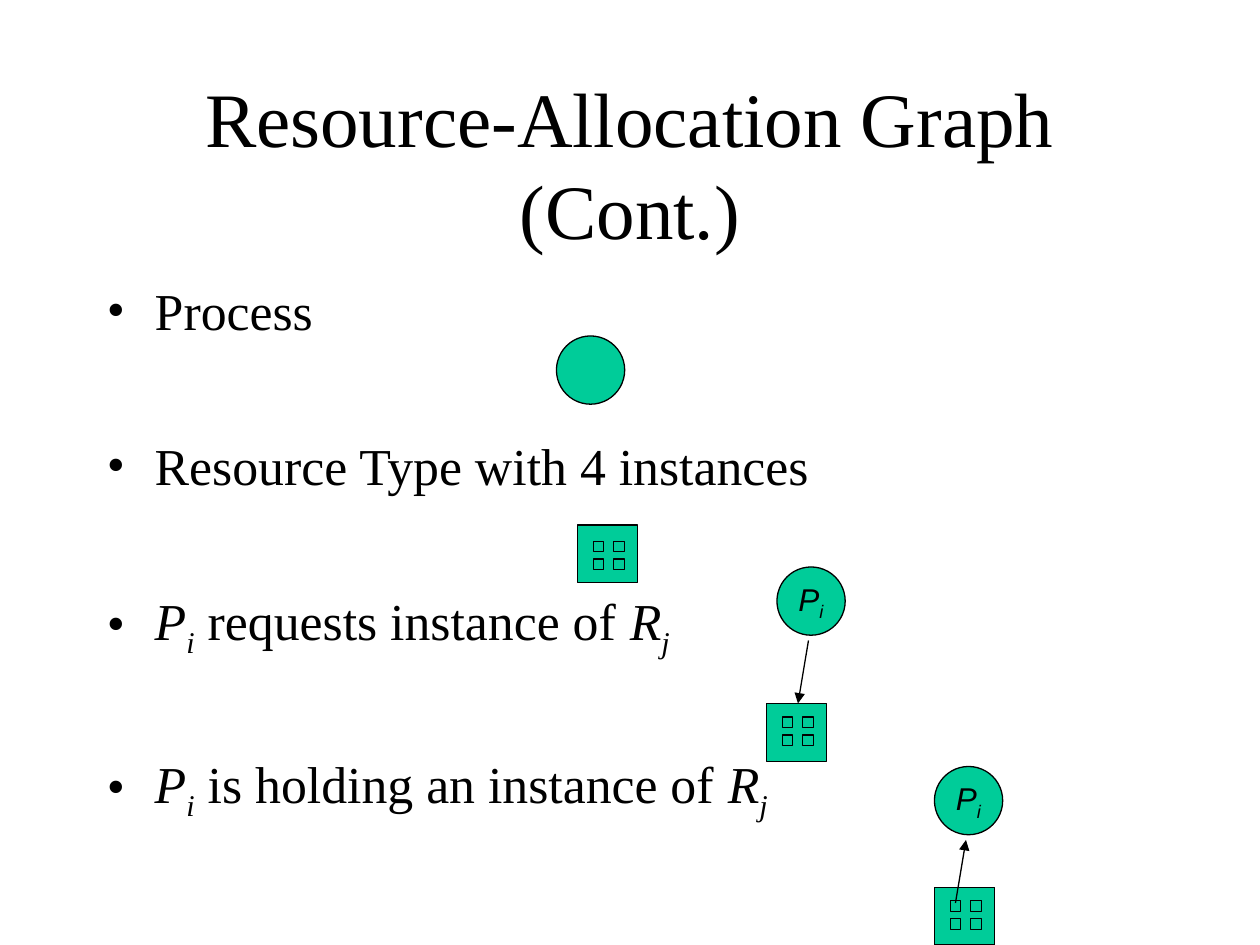
from itertools import product

from lxml.etree import SubElement
from pptx import Presentation
from pptx.dml.color import RGBColor
from pptx.enum.shapes import MSO_CONNECTOR, MSO_SHAPE
from pptx.enum.text import MSO_ANCHOR, PP_ALIGN
from pptx.oxml.ns import qn
from pptx.util import Inches, Pt

BLACK = RGBColor(0x00, 0x00, 0x00)
GREEN = RGBColor(0x00, 0xCC, 0x99)
SERIF = "Times New Roman"
SANS = "Arial"
CELLS_PER_INCH = 12
CIRCLE_SIZE = 6.5
BOX_WIDTH, BOX_HEIGHT = 5.75, 5.5
DOT_SIZE = 1
DOT_LEFT, DOT_COLUMN_GAP, DOT_ROW_GAP = 1.5, 1.95, 1.7
BODY_SIZE = 29.6
BULLET_INDENT = 0.38

PROCESS = [("P", "italic"), ("i", "subscript")]
RESOURCE = [("R", "italic"), ("j", "subscript")]
BULLETS = [
    [("Process", "plain")],
    [("Resource Type with 4 instances", "plain")],
    PROCESS + [(" requests instance of ", "plain")] + RESOURCE,
    PROCESS + [(" is holding an instance of ", "plain")] + RESOURCE,
]


def grid(*cells):
    return [Inches(cell / CELLS_PER_INCH) for cell in cells]


def add_runs(paragraph, pieces, font_name, size):
    for text, style in pieces:
        run = paragraph.add_run()
        run.text = text
        run.font.name = font_name
        run.font.size = Pt(size)
        run.font.color.rgb = BLACK
        run.font.italic = style != "plain"
        if style == "subscript":
            run.font._element.set("baseline", "-25000")


def add_text_frame(slide, left, top, width, height):
    text_frame = slide.shapes.add_textbox(*grid(left, top, width, height)).text_frame
    text_frame.word_wrap = True
    return text_frame


def add_title(slide, text):
    text_frame = add_text_frame(slide, 9, 8, 102, 15)
    text_frame.vertical_anchor = MSO_ANCHOR.MIDDLE
    paragraph = text_frame.paragraphs[0]
    paragraph.alignment = PP_ALIGN.CENTER
    add_runs(paragraph, [(text, "plain")], SERIF, 44)


def add_bullets(slide, bullets):
    text_frame = add_text_frame(slide, 9, 26, 102, 54)
    for index, pieces in enumerate(bullets):
        paragraph = text_frame.add_paragraph() if index else text_frame.paragraphs[0]
        paragraph.space_before = Pt(52.8 if index else 3)
        properties = paragraph._p.get_or_add_pPr()
        properties.set("marL", str(Inches(BULLET_INDENT)))
        properties.set("indent", str(-Inches(BULLET_INDENT)))
        SubElement(properties, qn("a:buFont"), typeface=SERIF)
        SubElement(properties, qn("a:buChar"), char="•")
        add_runs(paragraph, pieces, SERIF, BODY_SIZE)


def add_outlined(shapes, kind, left, top, width, height):
    shape = shapes.add_shape(kind, *grid(left, top, width, height))
    shape.shadow.inherit = False
    shape.fill.solid()
    shape.fill.fore_color.rgb = GREEN
    shape.line.color.rgb = BLACK
    shape.line.width = Pt(0.75)
    return shape


def add_process(slide, left, top, label=()):
    circle = add_outlined(slide.shapes, MSO_SHAPE.OVAL, left, top, CIRCLE_SIZE, CIRCLE_SIZE)
    text_frame = circle.text_frame
    text_frame.word_wrap = False
    text_frame.vertical_anchor = MSO_ANCHOR.MIDDLE
    paragraph = text_frame.paragraphs[0]
    paragraph.alignment = PP_ALIGN.CENTER
    add_runs(paragraph, label, SANS, 18)


def add_resource(slide, left, top, dot_top=1.3):
    shapes = slide.shapes.add_group_shape().shapes
    add_outlined(shapes, MSO_SHAPE.RECTANGLE, left, top, BOX_WIDTH, BOX_HEIGHT)
    for row, column in product(range(2), repeat=2):
        add_outlined(
            shapes,
            MSO_SHAPE.RECTANGLE,
            left + DOT_LEFT + column * DOT_COLUMN_GAP,
            top + dot_top + row * DOT_ROW_GAP,
            DOT_SIZE,
            DOT_SIZE,
        )


def add_arrow(slide, start, end):
    connector = slide.shapes.add_connector(MSO_CONNECTOR.STRAIGHT, *grid(*start, *end))
    connector.line.color.rgb = BLACK
    connector.line.width = Pt(0.75)
    SubElement(connector.line._get_or_add_ln(), qn("a:tailEnd"), type="triangle")
    SubElement(connector._element.spPr, qn("a:effectLst"))


def main():
    presentation = Presentation()
    presentation.slide_width = Inches(10)
    presentation.slide_height = Inches(7.5)
    slide = presentation.slides.add_slide(presentation.slide_layouts[6])

    add_title(slide, "Resource-Allocation Graph (Cont.)")
    add_bullets(slide, BULLETS)
    add_process(slide, 53, 32)
    add_resource(slide, 55, 50, dot_top=1.55)
    add_process(slide, 74, 54, PROCESS)
    add_resource(slide, 73, 67)
    add_process(slide, 89, 73, PROCESS)
    add_resource(slide, 89, 84.5)
    add_arrow(slide, (77, 61), (76, 67))
    add_arrow(slide, (91, 86), (92, 80))

    presentation.save("out.pptx")


if __name__ == "__main__":
    main()
